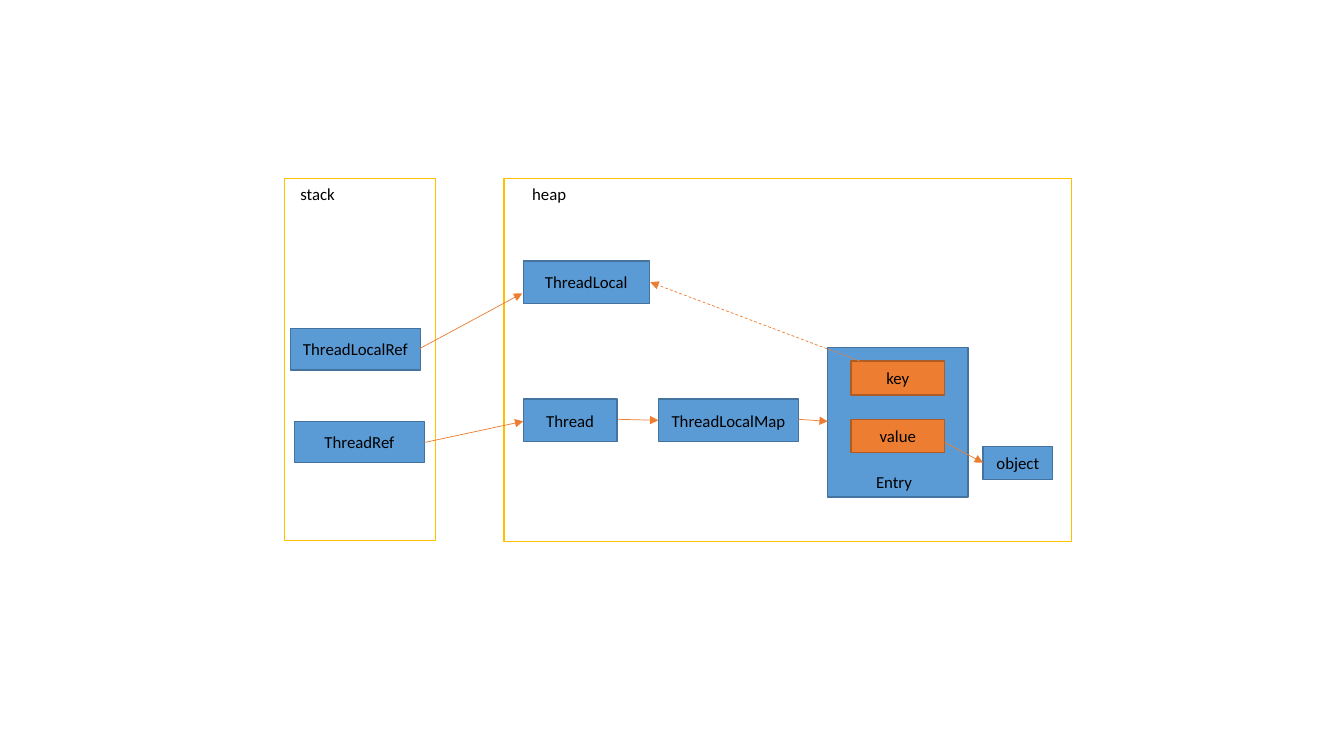
"""Build a slide showing how ThreadLocal references link the stack and the heap."""
from lxml import etree
from pptx import Presentation
from pptx.dml.color import RGBColor
from pptx.enum.dml import MSO_LINE
from pptx.enum.shapes import MSO_CONNECTOR, MSO_SHAPE
from pptx.enum.text import MSO_ANCHOR, PP_ALIGN
from pptx.oxml.ns import qn
from pptx.util import Inches, Pt

RECTANGLE = MSO_SHAPE.RECTANGLE
STRAIGHT = MSO_CONNECTOR.STRAIGHT
DASH = MSO_LINE.DASH
LEFT, CENTER = PP_ALIGN.LEFT, PP_ALIGN.CENTER
TOP, MIDDLE = MSO_ANCHOR.TOP, MSO_ANCHOR.MIDDLE

WHITE = RGBColor(0xFF, 0xFF, 0xFF)
BLACK = RGBColor(0x00, 0x00, 0x00)
GOLD = RGBColor(0xFF, 0xC0, 0x00)
BLUE = RGBColor(0x5B, 0x9B, 0xD5)
DARK_BLUE = RGBColor(0x43, 0x73, 0x9E)
ORANGE = RGBColor(0xED, 0x7D, 0x31)
DARK_ORANGE = RGBColor(0xAF, 0x5C, 0x24)


def write_text(frame, text, font="Calibri", size=12, color=BLACK, align=LEFT, anchor=TOP):
    frame.word_wrap = True
    frame.vertical_anchor = anchor
    paragraph = frame.paragraphs[0]
    paragraph.alignment = align
    run = paragraph.add_run()
    run.text = text
    run.font.name = font
    run.font.size = Pt(size)
    run.font.color.rgb = color


class Diagram:
    def __init__(self, slide, font="Calibri", size=12):
        self.slide = slide
        self.style = {"font": font, "size": size}

    def box(self, left, top, width, height, text="", fill=BLUE, line=DARK_BLUE, weight=1):
        shape = self.slide.shapes.add_shape(
            RECTANGLE, Inches(left), Inches(top), Inches(width), Inches(height))
        shape.shadow.inherit = False
        if fill is None:
            shape.fill.background()
        else:
            shape.fill.solid()
            shape.fill.fore_color.rgb = fill
        shape.line.color.rgb = line
        shape.line.width = Pt(weight)
        if text:
            write_text(shape.text_frame, text, align=CENTER, anchor=MIDDLE, **self.style)

    def label(self, left, top, width, text, height=0.3):
        text_box = self.slide.shapes.add_textbox(
            Inches(left), Inches(top), Inches(width), Inches(height))
        write_text(text_box.text_frame, text, **self.style)

    def arrow(self, start, end, dashed=False):
        points = [Inches(value) for value in (*start, *end)]
        connector = self.slide.shapes.add_connector(STRAIGHT, *points)
        connector.line.color.rgb = ORANGE
        connector.line.width = Pt(0.5)
        if dashed:
            connector.line.dash_style = DASH
        properties = connector.element.spPr
        etree.SubElement(properties.find(qn("a:ln")), qn("a:tailEnd"), type="triangle")
        etree.SubElement(properties, qn("a:effectLst"))


presentation = Presentation()
presentation.slide_width = Inches(13.33)
presentation.slide_height = Inches(7.5)
diagram = Diagram(presentation.slides.add_slide(presentation.slide_layouts[6]))

diagram.box(2.82, 1.77, 1.5, 3.59, fill=None, line=GOLD, weight=0.5)
diagram.box(5, 1.77, 5.63, 3.6, fill=WHITE, line=GOLD)
diagram.label(2.88, 1.77, 0.75, "stack")
diagram.label(5.18, 1.77, 0.62, "heap")

for left, top, width, height, text in (
    (2.92, 4.18, 1.29, 0.41, "ThreadRef"),
    (2.88, 3.26, 1.29, 0.41, "ThreadLocalRef"),
    (5.19, 2.59, 1.25, 0.42, "ThreadLocal"),
    (5.19, 3.96, 0.93, 0.42, "Thread"),
    (6.53, 3.96, 1.39, 0.42, "ThreadLocalMap"),
    (8.21, 3.45, 1.39, 1.48, ""),
    (9.75, 4.43, 0.69, 0.33, "object"),
):
    diagram.box(left, top, width, height, text)

for top, height, text in ((3.58, 0.34, "key"), (4.16, 0.33, "value")):
    diagram.box(8.44, top, 0.93, height, text, fill=ORANGE, line=DARK_ORANGE)
diagram.label(8.59, 4.63, 0.62, "Entry")

for start, end in (
    ((4.16, 3.46), (5.18, 2.91)),
    ((4.21, 4.39), (5.19, 4.18)),
    ((6.13, 4.16), (6.53, 4.17)),
    ((7.92, 4.16), (8.21, 4.18)),
    ((9.37, 4.39), (9.75, 4.59)),
):
    diagram.arrow(start, end)
diagram.arrow((8.76, 3.67), (6.45, 2.8), dashed=True)

presentation.save("out.pptx")
